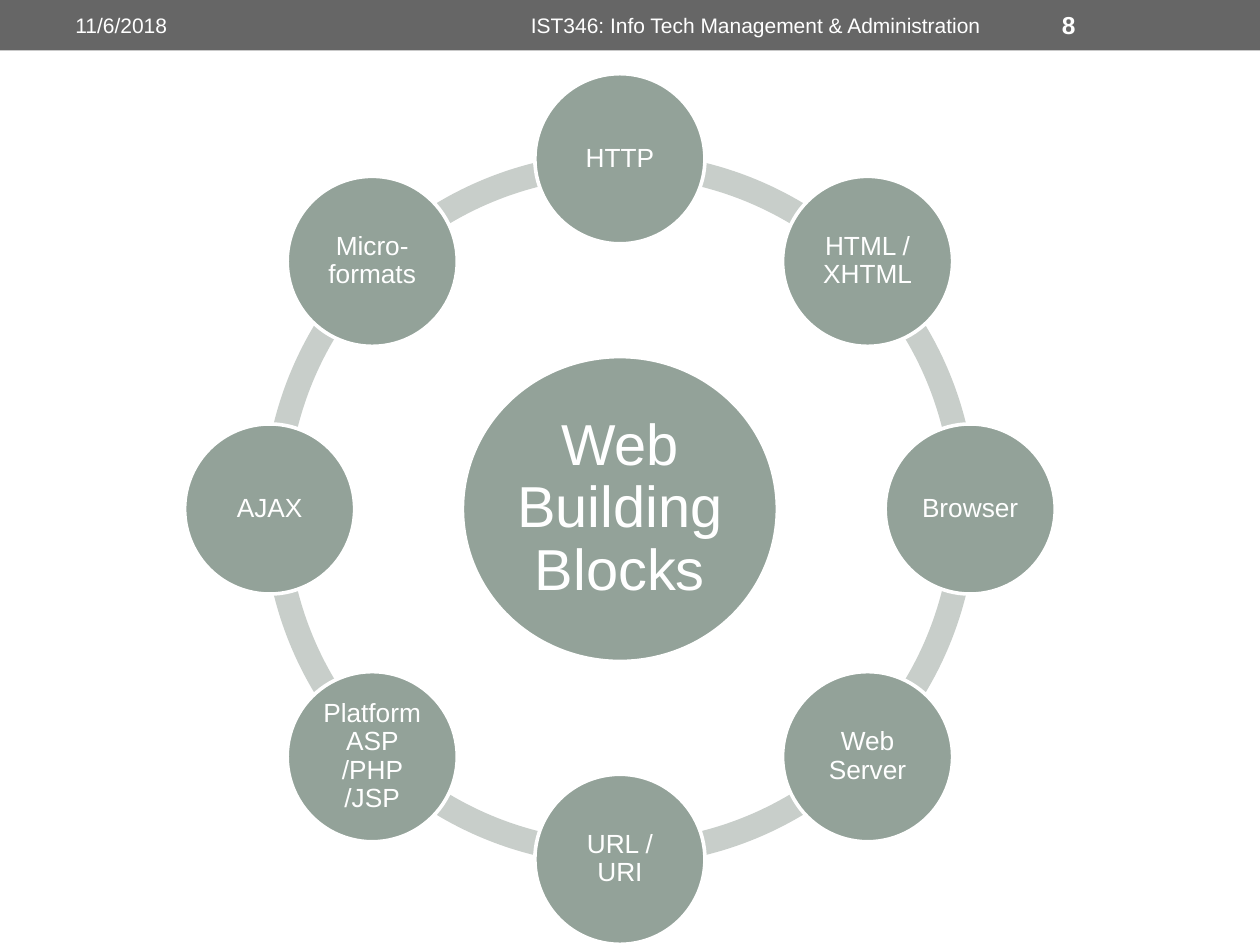
from math import cos, pi, sin
from pptx import Presentation
from pptx.dml.color import RGBColor
from pptx.enum.shapes import MSO_SHAPE
from pptx.enum.text import MSO_ANCHOR, PP_ALIGN
from pptx.util import Inches, Pt

RECT, OVAL, ARC = MSO_SHAPE.RECTANGLE, MSO_SHAPE.OVAL, MSO_SHAPE.BLOCK_ARC
LEFT, MID = PP_ALIGN.LEFT, PP_ALIGN.CENTER
GRAY = RGBColor(0x66, 0x66, 0x66)
SAGE = RGBColor(0x93, 0xA2, 0x99)
PALE = RGBColor(0xC8, 0xCE, 0xCA)
WHITE = RGBColor(0xFF, 0xFF, 0xFF)

# Content: hub, then nodes clockwise from the top
HUB = "Web Building Blocks"
NODES = ["HTTP", "HTML / XHTML", "Browser", "Web Server", "URL / URI",
         "Platform\vASP /PHP /JSP", "AJAX", "Micro-formats"]
# Header: text, left, width, align, size, bold
HEAD = [
    ("11/6/2018", 0.5, 3.17, LEFT, 12, False),
    ("IST346: Info Tech Management & Administration", 3.75, 4.5, MID, 12, False),
    ("8", 8.33, 1.17, LEFT, 14, True),
]

# Layout in inches
WIDE, HIGH, BAR = 10, 7.5, 0.4
MID_X, MID_Y = 4.92, 4.04
ORBIT, RING, NODE = 2.78, 5.66, 1.35
HUB_W, HUB_H = 2.5, 2.42
TURN = 360 * 0.6  # arc adjustments count 0.6 per degree

deck = Presentation()
deck.slide_width, deck.slide_height = Inches(WIDE), Inches(HIGH)
slide = deck.slides.add_slide(deck.slide_layouts[6])


def add_form(kind, x, y, w, h, fill):
    form = slide.shapes.add_shape(kind, Inches(x), Inches(y), Inches(w), Inches(h))
    form.shadow.inherit = False
    form.fill.solid()
    form.fill.fore_color.rgb = fill
    form.line.fill.background()
    return form


def set_text(form, text, size, align, bold=False):
    frame = form.text_frame
    frame.word_wrap = True
    frame.vertical_anchor = MSO_ANCHOR.MIDDLE
    frame.text = text
    para = frame.paragraphs[0]
    para.alignment = align
    for run in para.runs:
        font = run.font
        font.name, font.size, font.bold = "Arial", Pt(size), bold
        font.color.rgb = WHITE
    return frame


def add_disc(text, x, y, w, h, size, inset):
    disc = add_form(OVAL, x - w / 2, y - h / 2, w, h, SAGE)
    disc.line.color.rgb = WHITE
    disc.line.width = Pt(2.08)
    frame = set_text(disc, text, size, MID)
    frame.margin_left = frame.margin_right = Inches(inset)
    frame.margin_top = frame.margin_bottom = Inches(inset)
    frame.paragraphs[0].line_spacing = 0.9


# Header bar
add_form(RECT, 0, 0, WIDE, BAR, GRAY)
for text, x, w, align, size, bold in HEAD:
    box = slide.shapes.add_textbox(Inches(x), Inches(0.02), Inches(w), Inches(0.36))
    set_text(box, text, size, align, bold)

# Ring: one arc between each pair of neighbours
count = len(NODES)
step = TURN / count
for i in range(count):
    arc = add_form(ARC, MID_X - RING / 2, MID_Y - RING / 2, RING, RING, PALE)
    arc.adjustments[0] = step * i
    arc.adjustments[1] = step * ((i + 1) % count)
    arc.adjustments[2] = 0.034

# Hub and the nodes around it
add_disc(HUB, MID_X, MID_Y, HUB_W, HUB_H, 33, 0.05)
for i, text in enumerate(NODES):
    turn = 2 * pi * i / count
    add_disc(text, MID_X + ORBIT * sin(turn), MID_Y - ORBIT * cos(turn),
             NODE, NODE, 15, 0.02)

deck.save("out.pptx")
